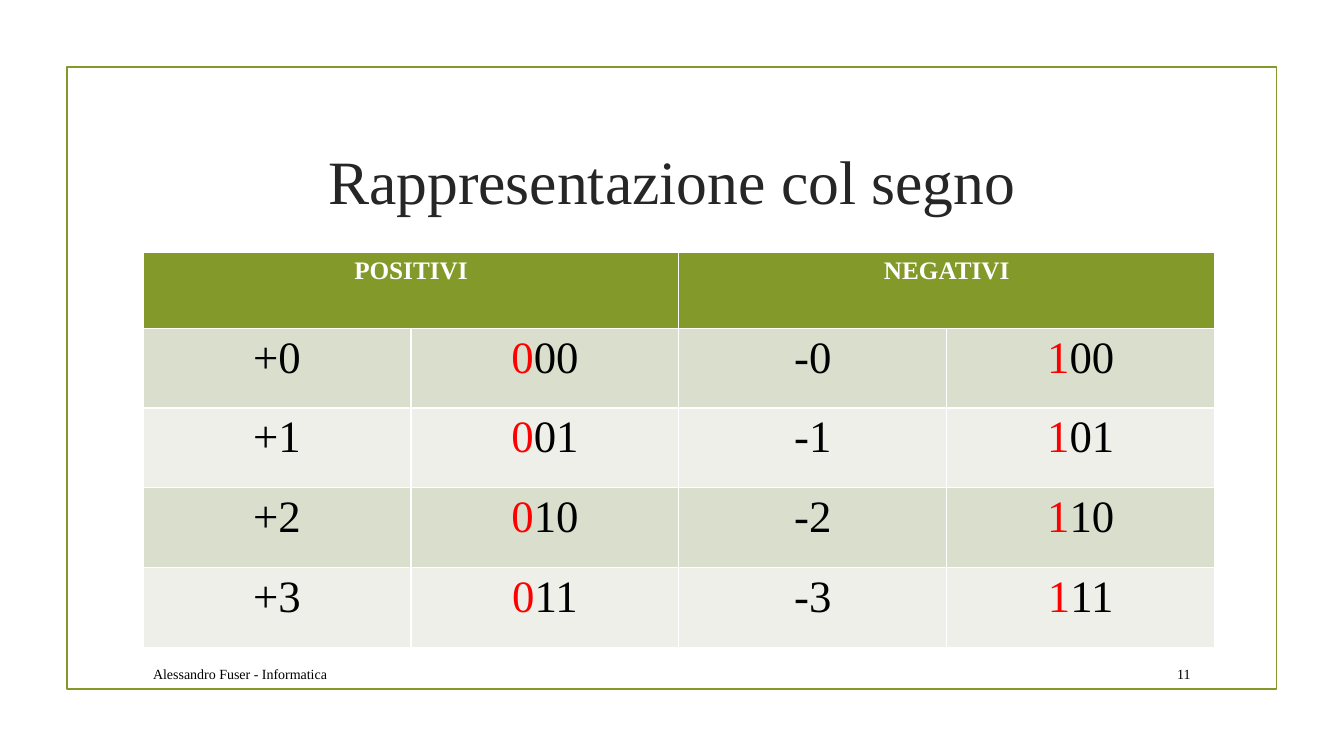
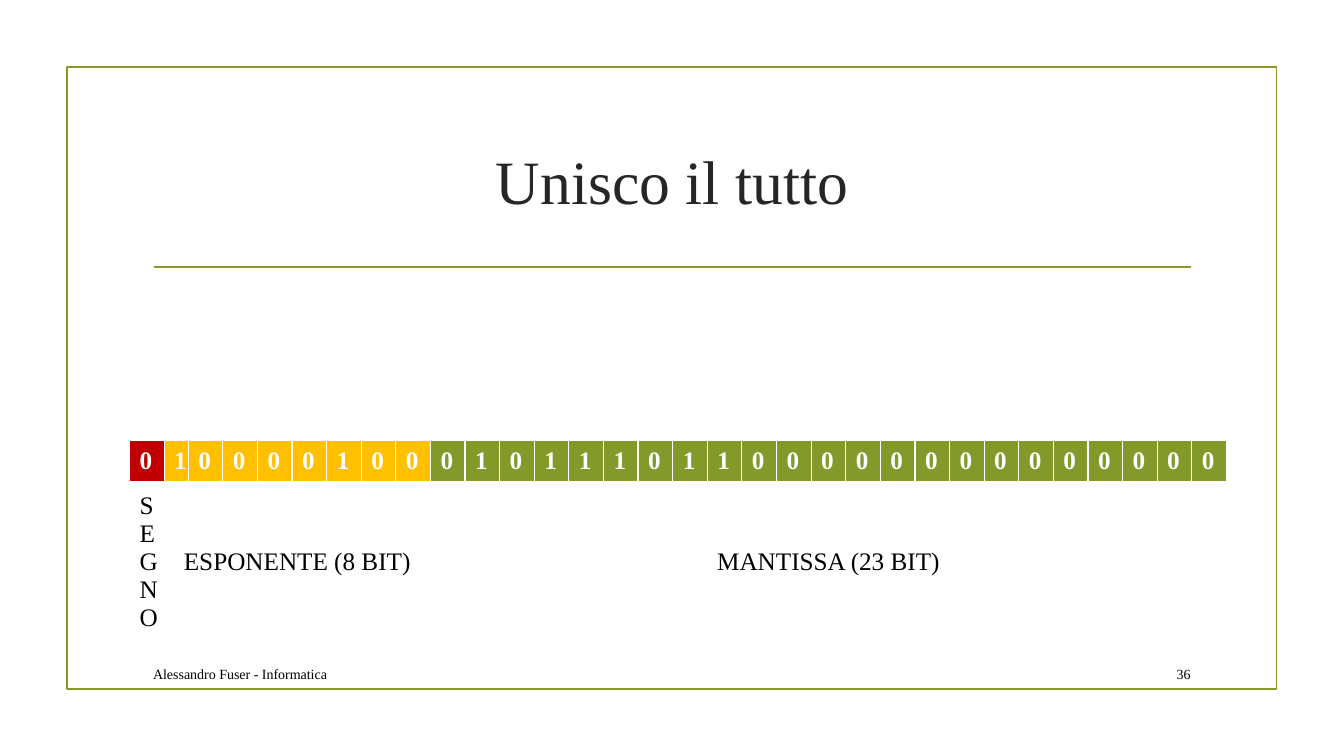
"""Build two slides on signed numbers and the float format."""
from lxml import etree
from pptx import Presentation
from pptx.dml.color import RGBColor
from pptx.enum.shapes import MSO_CONNECTOR, MSO_SHAPE
from pptx.enum.text import MSO_ANCHOR, PP_ALIGN
from pptx.oxml.ns import qn
from pptx.util import Pt

LEFT, MID, RIGHT = PP_ALIGN.LEFT, PP_ALIGN.CENTER, PP_ALIGN.RIGHT
CENTRE = MSO_ANCHOR.MIDDLE
RECT, LINE = MSO_SHAPE.RECTANGLE, MSO_CONNECTOR.STRAIGHT
FONT = "Times New Roman"
HEX = {
    "green": "83992A", "dark": "262626", "black": "000000",
    "white": "FFFFFF", "red": "FF0000", "sign": "C00000",
    "gold": "FFC000", "band": "D9DECD", "pale": "EDEFE8",
}


def write(frame, runs, size, align=LEFT, bold=False):
    para = frame.paragraphs[0]
    para.alignment = align
    for text, tone in runs:
        run = para.add_run()
        run.text = text
        font = run.font
        font.name, font.size, font.bold = FONT, Pt(size), bold
        font.color.rgb = RGBColor.from_string(HEX[tone])


def paint(cell, tone):
    cell.fill.solid()
    cell.fill.fore_color.rgb = RGBColor.from_string(HEX[tone])


deck = Presentation()
deck.slide_width, deck.slide_height = Pt(960), Pt(540)
layout = deck.slide_layouts[5]
head = layout.placeholders[0]
head.left, head.top, head.width, head.height = Pt(102.25), Pt(77), Pt(756), Pt(103)
head.text_frame.vertical_anchor = CENTRE

pages = []
for title, number in (("Rappresentazione col segno", "11"), ("Unisco il tutto", "36")):
    page = deck.slides.add_slide(layout)
    pages.append(page)
    write(page.shapes.title.text_frame, [(title, "dark")], 44, MID)
    for text, left, width, align in (
        ("Alessandro Fuser - Informatica", 102.25, 575, LEFT),
        (number, 815, 42.5, RIGHT),
    ):
        box = page.shapes.add_textbox(Pt(left), Pt(470), Pt(width), Pt(22.5))
        box.text_frame.word_wrap = True
        box.text_frame.vertical_anchor = CENTRE
        write(box.text_frame, [(text, "black")], 10, align)

signs, bits = pages

frame = signs.shapes.add_shape(RECT, Pt(47.75), Pt(48), Pt(864), Pt(444))
frame.shadow.inherit = False
frame.fill.background()
rule = signs.shapes.add_connector(LINE, Pt(110), Pt(190.75), Pt(850.5), Pt(190.75))
etree.SubElement(rule.element.spPr, qn("a:effectLst"))
for spot, shape in enumerate((frame, rule)):
    shape.line.color.rgb = RGBColor.from_string(HEX["green"])
    shape.line.width = Pt(1.25)
    shape.element.xpath("./*/p:cNvPr")[0].set("id", str(100 + spot))
    layout.shapes.element.insert(2 + spot, shape.element)

grid = signs.shapes.add_table(5, 4, Pt(102.25), Pt(180), Pt(765.4), Pt(282.4)).table
for col in grid.columns:
    col.width = Pt(191.35)
for row, line in enumerate(grid.rows):
    line.height = Pt(57 if row else 54.4)
for col, text in ((0, "POSITIVI"), (2, "NEGATIVI")):
    cell = grid.cell(0, col)
    cell.merge(grid.cell(0, col + 1))
    paint(cell, "green")
    write(cell.text_frame, [(text, "white")], 18, MID, True)
for num in range(4):
    for side, (sign, lead) in enumerate(("+0", "-1")):
        pair = (
            [(f"{sign}{num}", "black")],
            [(lead, "red"), (f"{num:02b}", "black")],
        )
        for step, runs in enumerate(pair):
            cell = grid.cell(num + 1, 2 * side + step)
            paint(cell, "pale" if num % 2 else "band")
            write(cell.text_frame, runs, 32, MID)

parts = (
    ("0", "sign", "SEGNO", LEFT),
    ("10000100", "gold", "ESPONENTE (8 BIT)", MID),
    ("01011101100000000000000", "green", "MANTISSA (23 BIT)", MID),
)
grid = bits.shapes.add_table(2, 32, Pt(92.5), Pt(314.75), Pt(783.5), Pt(58.4)).table
for col, item in enumerate(grid.columns):
    item.width = Pt(16.8 if col == 1 else 24.73)
start = 0
for code, tone, label, align in parts:
    for col, bit in enumerate(code, start):
        cell = grid.cell(0, col)
        cell.vertical_anchor = CENTRE
        paint(cell, tone)
        write(cell.text_frame, [(bit, "white")], 18, LEFT, True)
    cell = grid.cell(1, start)
    if len(code) > 1:
        cell.merge(grid.cell(1, start + len(code) - 1))
    cell.vertical_anchor = CENTRE
    paint(cell, "white")
    write(cell.text_frame, [(label, "black")], 18, align)
    start += len(code)

deck.save("out.pptx")
